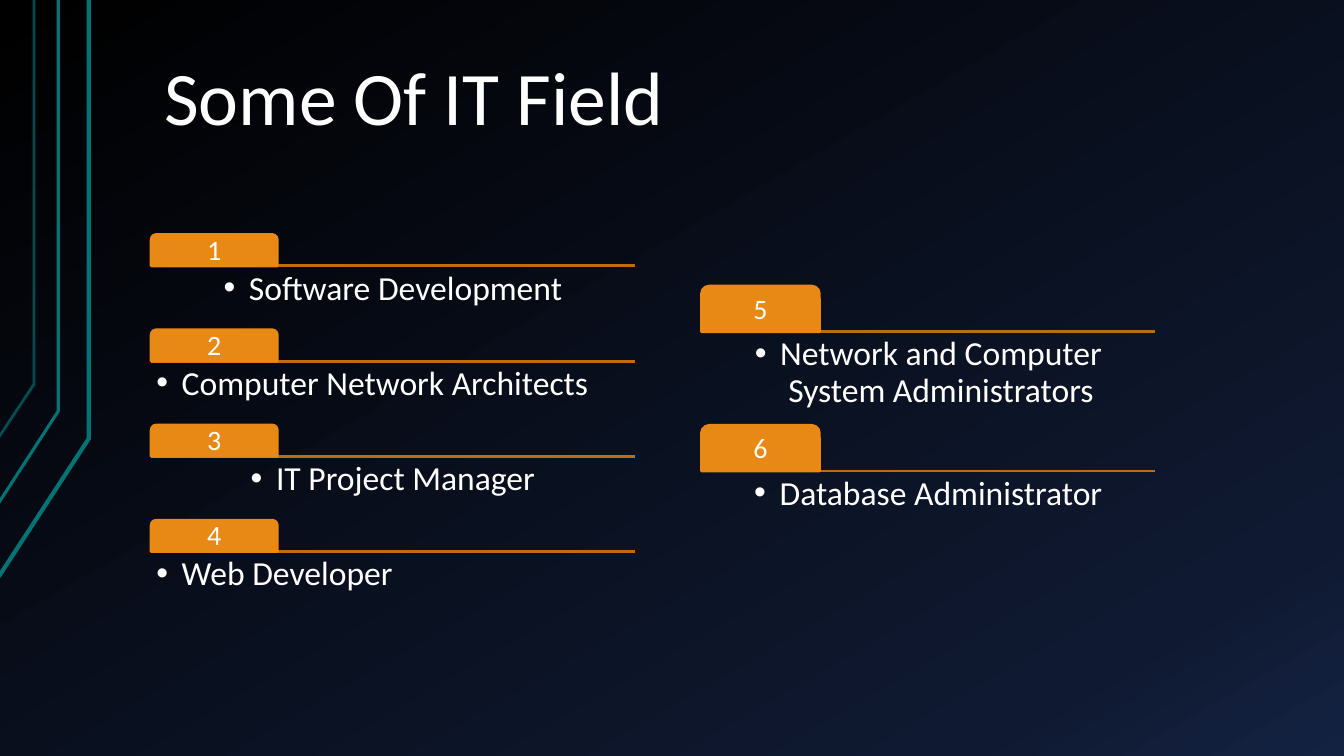
from copy import deepcopy

from lxml import etree
from pptx import Presentation
from pptx.dml.color import RGBColor
from pptx.enum import shapes, text
from pptx.oxml.ns import qn
from pptx.util import Cm, Pt

FONT = "Calibri"
WHITE, ORANGE, RULE, TEAL = "FFFFFF", "E98915", "BB6E11", "007373"
CENTER, LEFT = text.PP_ALIGN.CENTER, text.PP_ALIGN.LEFT

TITLE = "Some Of IT Field"
BACKGROUND = [(0, "000000"), (0.85, "0F1931"), (1, "142242")]

# Lengths in cm; "rule" is the height of the first line under a tab.
COLUMNS = [
    {
        "left": 3.81, "rule": 6.7, "pitch": 2.4, "width": 12.18,
        "tab": (3.18, 0.79), "body": 1.57,
        "fields": [
            ("Software Development", CENTER),
            ("Computer Network Architects", LEFT),
            ("IT Project Manager", CENTER),
            ("Web Developer", LEFT),
        ],
    },
    {
        "left": 17.68, "rule": 8.36, "pitch": 3.51, "width": 11.43,
        "tab": (2.97, 1.15), "body": 2.31,
        "fields": [
            ("Network and Computer System Administrators", CENTER),
            ("Database Administrator", CENTER),
        ],
    },
]

# Start height at the left edge, bend x, bend y, line width, opacity
TRACES = [
    (14.53, 2.24, 11.05, 3, 100),
    (12.67, 1.47, 10.36, 2.25, 100),
    (11.02, 0.86, 9.68, 2, 65),
]


def color(value):
    return RGBColor.from_string(value)


def style_line(shape, value, width):
    shape.line.color.rgb = color(value)
    shape.line.width = Pt(width)


def write(shape, words, size, align, anchor, inset):
    frame = shape.text_frame
    frame.text = words
    frame.word_wrap = True
    frame.vertical_anchor = anchor
    frame.margin_left = frame.margin_right = Cm(inset[0])
    frame.margin_top = frame.margin_bottom = Cm(inset[1])
    paragraph = frame.paragraphs[0]
    paragraph.alignment = align
    paragraph.line_spacing = 0.9
    font = paragraph.runs[0].font
    font.name, font.size = FONT, Pt(size)
    font.color.rgb = color(WHITE)
    return paragraph


def add_text(slide, box, *style):
    return write(slide.shapes.add_textbox(*map(Cm, box)), *style)


def add_bullet(paragraph):
    properties = paragraph._p.get_or_add_pPr()
    properties.set("marL", str(Cm(0.64)))
    properties.set("indent", str(-Cm(0.64)))
    etree.SubElement(properties, qn("a:buFont")).set("typeface", "Arial")
    etree.SubElement(properties, qn("a:buChar")).set("char", "•")


def paint_background(slide):
    fill = slide.background.fill
    fill.gradient()
    fill.gradient_angle = 300
    stops = slide.element.find(".//" + qn("a:gsLst"))
    stops.append(deepcopy(stops[-1]))
    for stop, (position, value) in zip(fill.gradient_stops, BACKGROUND):
        stop.position = position
        stop.color.rgb = color(value)


def add_trace(slide, start, bend_x, bend_y, width, opacity):
    builder = slide.shapes.build_freeform(Cm(-0.03), Cm(start))
    builder.add_line_segments(
        [(Cm(bend_x), Cm(bend_y)), (Cm(bend_x), 0)], close=False)
    trace = builder.convert_to_shape()
    trace.shadow.inherit = False
    trace.fill.background()
    style_line(trace, TEAL, width)
    if opacity < 100:
        shade = trace.line._ln.find(".//" + qn("a:srgbClr"))
        etree.SubElement(shade, qn("a:alpha")).set("val", str(opacity * 1000))


def add_rule(slide, left, top, width):
    rule = slide.shapes.add_connector(
        shapes.MSO_CONNECTOR.STRAIGHT,
        Cm(left), Cm(top), Cm(left + width), Cm(top))
    style_line(rule, RULE, 2)
    etree.SubElement(rule._element.spPr, qn("a:effectLst"))


def add_tab(slide, left, rule, size, number):
    width, height = size
    tab = slide.shapes.add_shape(
        shapes.MSO_SHAPE.ROUND_2_SAME_RECTANGLE,
        Cm(left), Cm(rule - height), Cm(width), Cm(height))
    tab.adjustments[0], tab.adjustments[1] = 0.167, 0
    tab.shadow.inherit = False
    tab.fill.solid()
    tab.fill.fore_color.rgb = color(ORANGE)
    style_line(tab, ORANGE, 2)
    write(tab, str(number), 20, CENTER, text.MSO_ANCHOR.MIDDLE, (0.1, 0.1))


def main():
    presentation = Presentation()
    presentation.slide_width, presentation.slide_height = Cm(33.87), Cm(19.05)
    slide = presentation.slides.add_slide(presentation.slide_layouts[6])
    paint_background(slide)
    for trace in TRACES:
        add_trace(slide, *trace)
    add_text(slide, (3.81, 0.36, 28.78, 3.4), TITLE, 54, LEFT,
             text.MSO_ANCHOR.BOTTOM, (0.33, 0.18))

    number = 0
    for column in COLUMNS:
        left, width = column["left"], column["width"]
        for row, (field, align) in enumerate(column["fields"]):
            number += 1
            rule = column["rule"] + row * column["pitch"]
            add_rule(slide, left, rule, width)
            add_tab(slide, left, rule, column["tab"], number)
            add_bullet(add_text(
                slide, (left, rule, width, column["body"]), field, 24, align,
                text.MSO_ANCHOR.TOP, (0.13, 0.13)))
    presentation.save("out.pptx")


if __name__ == "__main__":
    main()
